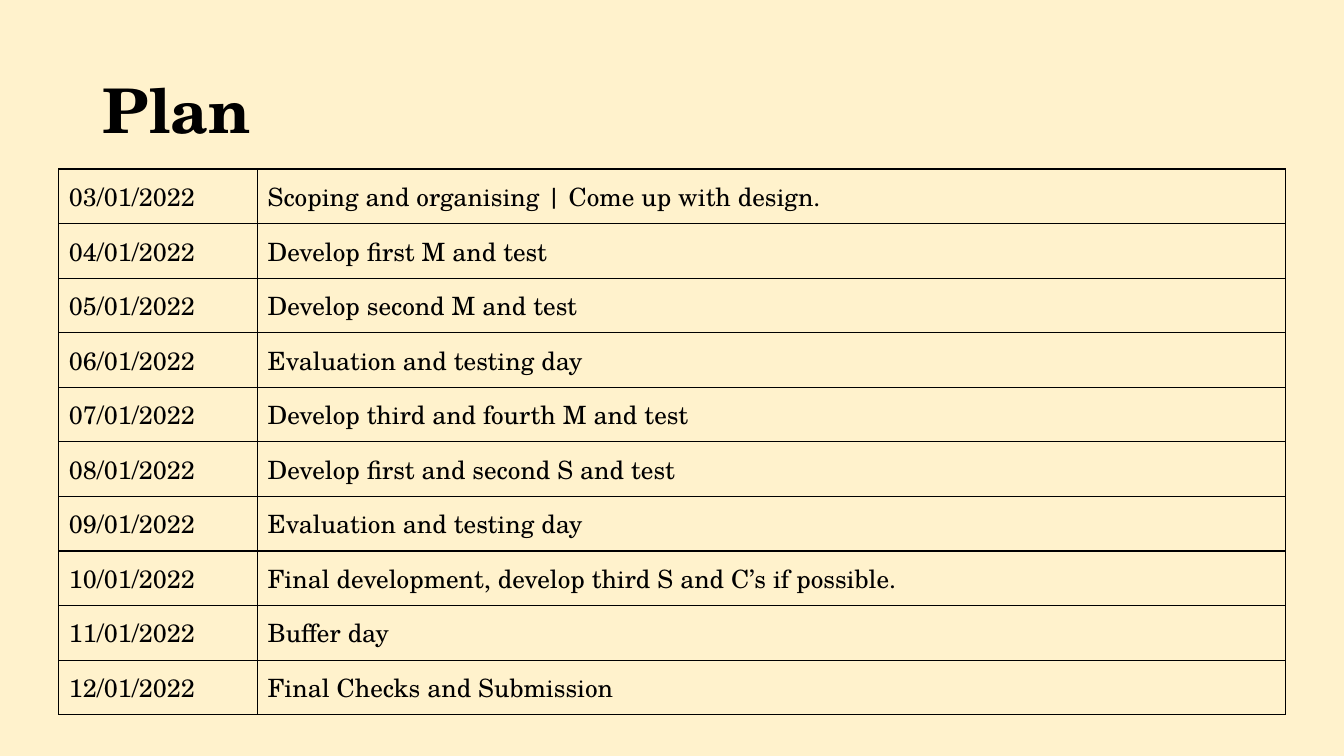
from lxml import etree
from pptx import Presentation
from pptx import util as u
from pptx.dml.color import RGBColor
from pptx.enum import text
from pptx.oxml.ns import qn

CREAM = RGBColor(0xFF, 0xF2, 0xCC)
BLACK = RGBColor(0, 0, 0)
FACE = "TeX Gyre Schola"
TITLE_FONT = {"name": FACE, "size": u.Pt(44), "bold": True}
CELL_FONT = {"name": FACE, "size": u.Pt(18), "bold": False}
TITLE_BOX = (66, 28.8, 828, 104.4)
PLAN_BOX = (42, 120.75, 876.25, 390)
DATE_WIDTH = 142
FIRST_DAY = 3
TASKS = [
    "Scoping and organising | Come up with design.",
    "Develop first M and test",
    "Develop second M and test",
    "Evaluation and testing day",
    "Develop third and fourth M and test",
    "Develop first and second S and test",
    "Evaluation and testing day",
    "Final development, develop third S and C’s if possible.",
    "Buffer day",
    "Final Checks and Submission",
]


def write(para, words, font):
    """Add a black run of words with the given font values."""
    span = para.add_run()
    span.text = words
    for key, value in font.items():
        setattr(span.font, key, value)
    span.font.color.rgb = BLACK


def add_borders(cell):
    """Draw a 1 pt black line on every side of a cell."""
    props = cell._tc.get_or_add_tcPr()
    for index, side in enumerate(("lnL", "lnR", "lnT", "lnB")):
        line = etree.Element(qn(f"a:{side}"), w=str(u.Pt(1)))
        fill = etree.SubElement(line, qn("a:solidFill"))
        etree.SubElement(fill, qn("a:srgbClr"), val=str(BLACK))
        props.insert(index, line)


def add_title(page, box, words):
    """Place and format the title placeholder in its box."""
    title = page.shapes.title
    for key, value in zip(("left", "top", "width", "height"), box):
        setattr(title, key, u.Pt(value))
    frame = title.text_frame
    frame.word_wrap = True
    frame.vertical_anchor = text.MSO_ANCHOR.MIDDLE
    para = frame.paragraphs[0]
    para.alignment = text.PP_ALIGN.LEFT
    para.line_spacing = 0.9
    write(para, words, TITLE_FONT)


def add_plan(page, box, tasks):
    """Fill the box with a table of one dated row per task."""
    left, top, width, height = map(u.Pt, box)
    table = page.shapes.add_table(len(tasks), 2, left, top, width, height).table
    for flag in ("first_row", "horz_banding"):
        setattr(table, flag, False)
    table.columns[0].width = u.Pt(DATE_WIDTH)
    table.columns[1].width = width - u.Pt(DATE_WIDTH)
    for index, task in enumerate(tasks):
        date = f"{FIRST_DAY + index:02}/01/2022"
        for cell, words in zip(table.rows[index].cells, (date, task)):
            cell.fill.background()
            cell.vertical_anchor = text.MSO_ANCHOR.MIDDLE
            write(cell.text_frame.paragraphs[0], words, CELL_FONT)
            add_borders(cell)


def build():
    """Build and save the one-page deck."""
    deck = Presentation()
    deck.slide_width, deck.slide_height = u.Pt(960), u.Pt(540)
    page = deck.slides.add_slide(deck.slide_layouts[5])
    page.background.fill.solid()
    page.background.fill.fore_color.rgb = CREAM
    add_title(page, TITLE_BOX, "Plan")
    add_plan(page, PLAN_BOX, TASKS)
    deck.save("out.pptx")


build()
